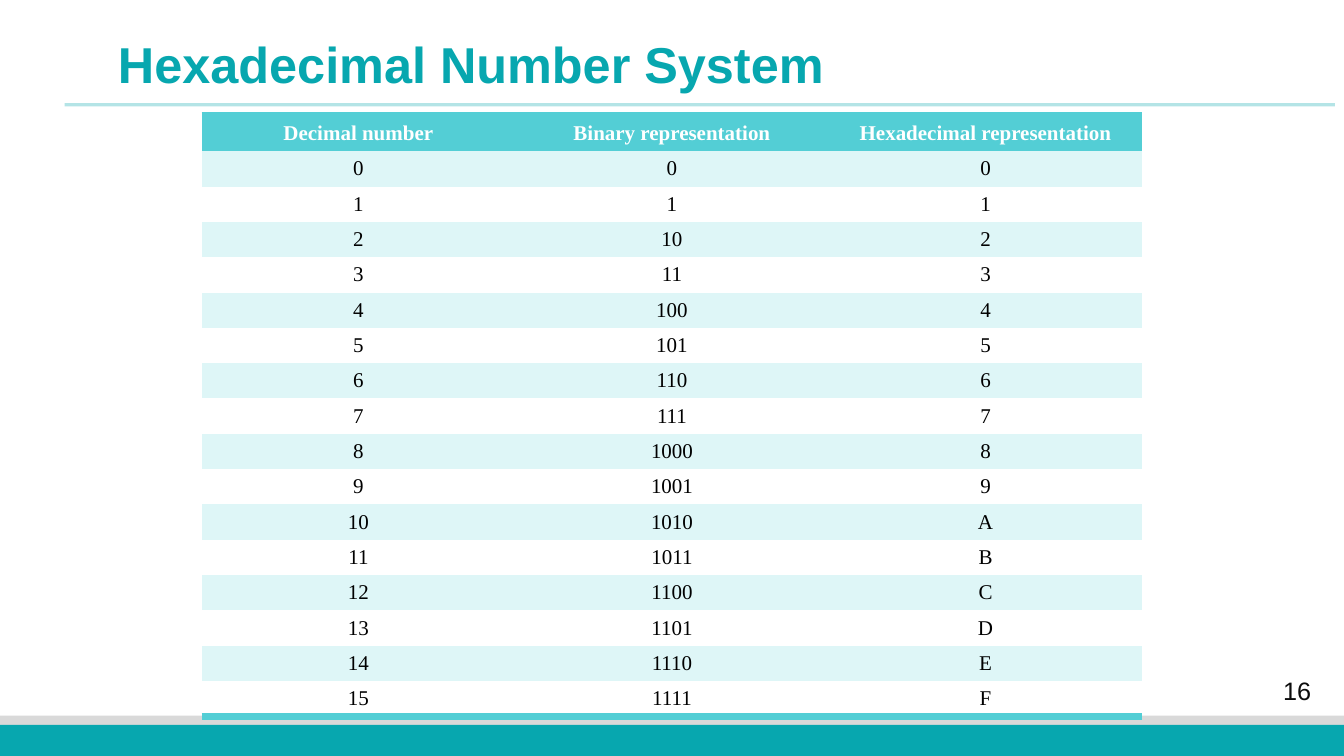
import pptx
import pptx.dml.color
import pptx.enum.shapes
import pptx.enum.text
import pptx.oxml
import pptx.oxml.ns
import pptx.util
from lxml import etree

Inches = pptx.util.Inches
COLORS = {"teal": "07A7AF", "aqua": "53CED5", "mist": "DEF6F7", "white": "FFFFFF",
          "gray": "D9D9D9", "ink": "0D0D0D", "black": "000000"}
NO_GRID_STYLE = "{2D5ABB26-0587-4C30-8999-92F81FD0307C}"


class SlideBuilder:
    """Draw styled elements on the current slide."""

    def __init__(self, page):
        self.page = page

    def color(self, name):
        return pptx.dml.color.RGBColor.from_string(COLORS[name])

    def add_text(self, para, text, size, color, font="Arial", bold=False, center=True):
        align = pptx.enum.text.PP_ALIGN
        para.alignment = align.CENTER if center else align.LEFT
        span = para.add_run()
        span.text = text
        span.font.name = font
        span.font.size = pptx.util.Pt(size)
        span.font.bold = bold
        span.font.color.rgb = self.color(color)

    def title(self, text, left, top, width, height):
        box = self.page.shapes.title
        box.left, box.top = Inches(left), Inches(top)
        box.width, box.height = Inches(width), Inches(height)
        frame = box.text_frame
        frame.word_wrap = True
        frame.auto_size = pptx.enum.text.MSO_AUTO_SIZE.NONE
        frame.vertical_anchor = pptx.enum.text.MSO_ANCHOR.TOP
        para = frame.paragraphs[0]
        para.line_spacing = 0.9
        self.add_text(para, text, 36, "teal", bold=True, center=False)

    def band(self, top, height, color):
        box = self.page.shapes.add_shape(pptx.enum.shapes.MSO_SHAPE.RECTANGLE, 0, Inches(top),
                                         Inches(13.33), Inches(height))
        box.shadow.inherit = False
        box.fill.solid()
        box.fill.fore_color.rgb = self.color(color)
        box.line.fill.background()

    def rule(self, left, right, top, opacity):
        rule = self.page.shapes.add_connector(pptx.enum.shapes.MSO_CONNECTOR.STRAIGHT,
                                              Inches(left), Inches(top), Inches(right), Inches(top))
        rule.line.width = pptx.util.Pt(2.25)
        rule.line.color.rgb = self.color("teal")
        qn = pptx.oxml.ns.qn
        properties = rule._element.spPr
        tint = properties.find(".//" + qn("a:srgbClr"))
        etree.SubElement(tint, qn("a:alpha"), val=str(opacity * 1000))
        etree.SubElement(properties, qn("a:effectLst"))

    def label(self, text, left, top, width, height):
        box = self.page.shapes.add_textbox(Inches(left), Inches(top), Inches(width), Inches(height))
        box.text_frame.word_wrap = True
        box.text_frame.vertical_anchor = pptx.enum.text.MSO_ANCHOR.MIDDLE
        self.add_text(box.text_frame.paragraphs[0], text, 18, "ink")

    def border(self, cell, side):
        line = pptx.oxml.parse_xml(
            f'<a:{side} {pptx.oxml.ns.nsdecls("a")} w="{pptx.util.Pt(6)}"><a:solidFill>'
            f'<a:srgbClr val="{COLORS["aqua"]}"/></a:solidFill></a:{side}>')
        cell._tc.get_or_add_tcPr().insert(0, line)

    def table(self, rows, left, top, column_width, row_height):
        columns = len(rows[0])
        frame = self.page.shapes.add_table(len(rows), columns, Inches(left), Inches(top),
                                           Inches(column_width * columns),
                                           Inches(row_height * len(rows)))
        table = frame.table
        table.horz_banding = False
        table._tbl.tblPr.find(pptx.oxml.ns.qn("a:tableStyleId")).text = NO_GRID_STYLE
        for column in table.columns:
            column.width = Inches(column_width)
        for r, values in enumerate(rows):
            table.rows[r].height = Inches(row_height)
            header = r == 0
            fill = "aqua" if header else "mist" if r % 2 else "white"
            for c, value in enumerate(values):
                cell = table.cell(r, c)
                cell.vertical_anchor = pptx.enum.text.MSO_ANCHOR.MIDDLE
                cell.fill.solid()
                cell.fill.fore_color.rgb = self.color(fill)
                self.add_text(cell.text_frame.paragraphs[0], value, 15,
                              "white" if header else "black", "Times New Roman", header)
                if header:
                    self.border(cell, "lnT")
                elif r == len(rows) - 1:
                    self.border(cell, "lnB")


def main():
    deck = pptx.Presentation()
    deck.slide_width, deck.slide_height = Inches(13.33), Inches(7.5)
    builder = SlideBuilder(deck.slides.add_slide(deck.slide_layouts[5]))
    builder.band(7.1, 0.4, "gray")
    builder.band(7.19, 0.31, "teal")
    builder.rule(0.64, 13.24, 1.04, 30)
    builder.label("16", 12.41, 6.65, 0.91, 0.39)
    builder.title("Hexadecimal Number System", 1.07, 0.35, 11.37, 0.48)
    header = ["Decimal number", "Binary representation", "Hexadecimal representation"]
    numbers = [[str(n), f"{n:b}", f"{n:X}"] for n in range(16)]
    builder.table([header] + numbers, 2, 1.15, 3.11, 0.35)
    deck.save("out.pptx")


if __name__ == "__main__":
    main()
